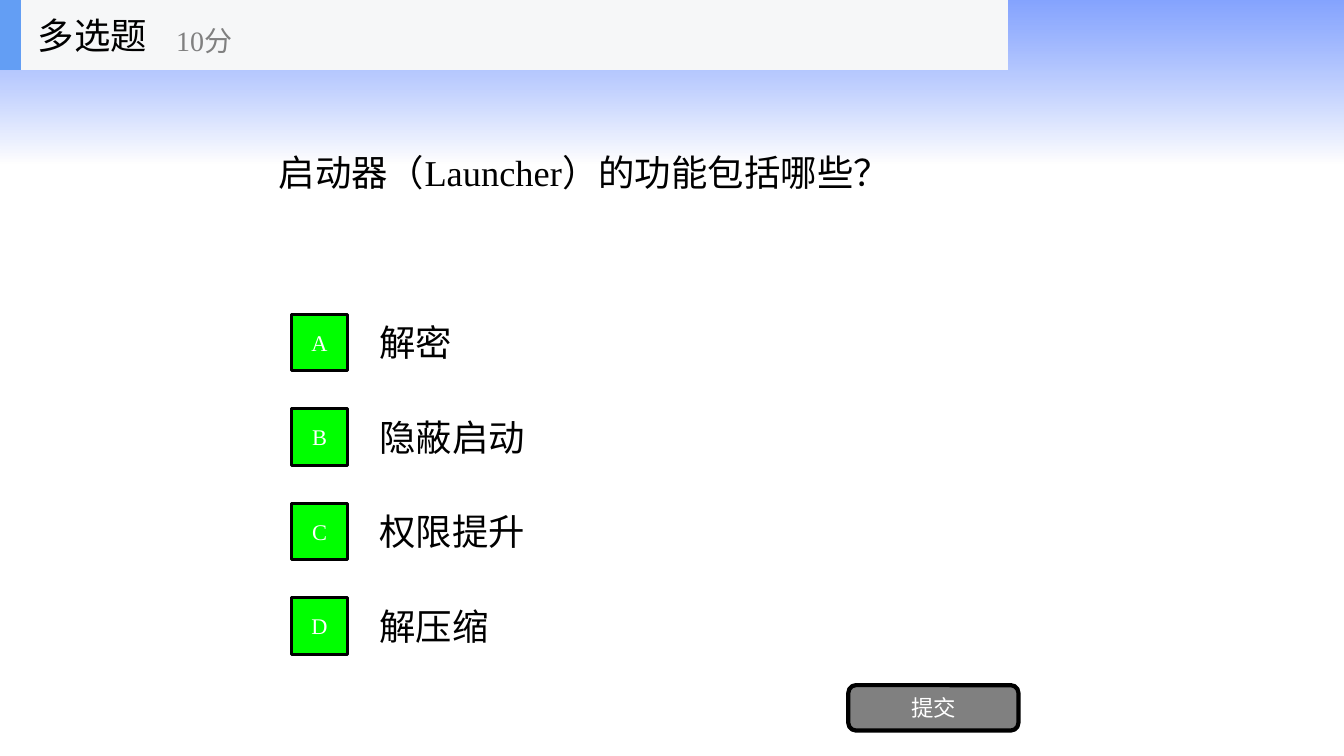
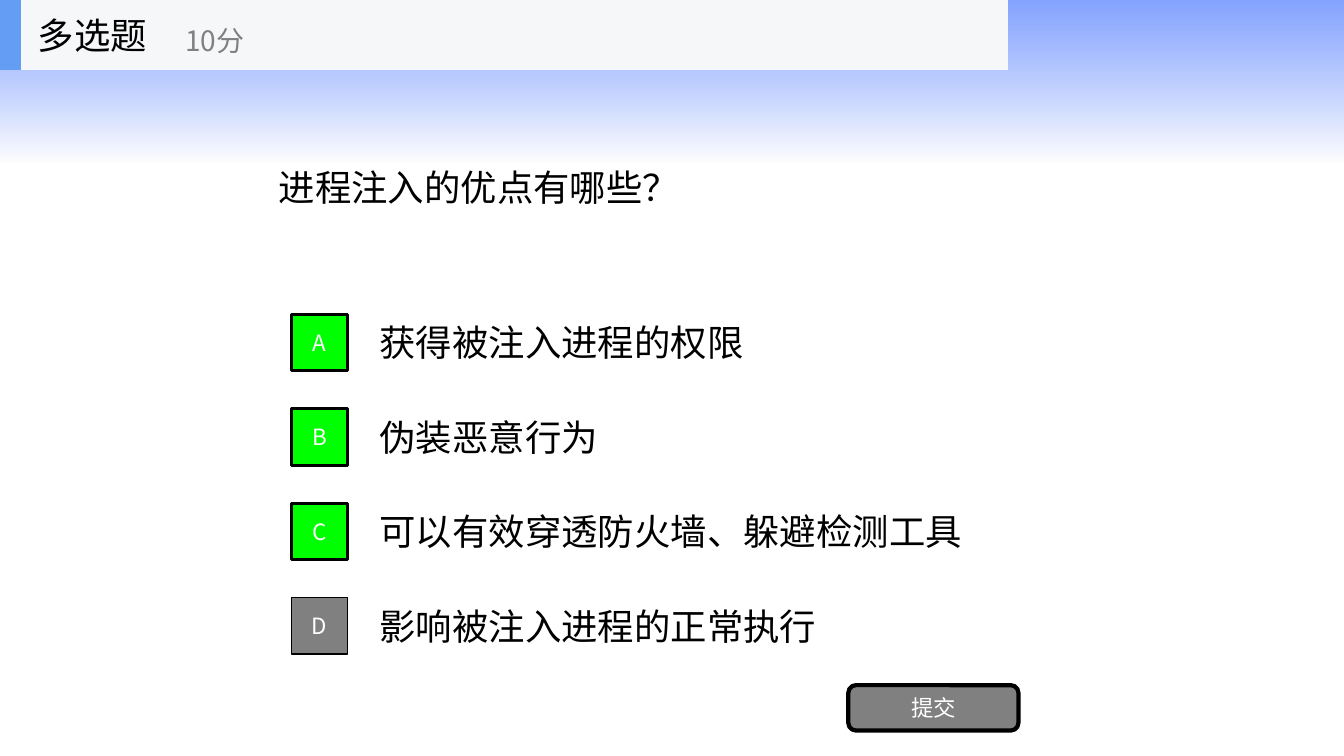
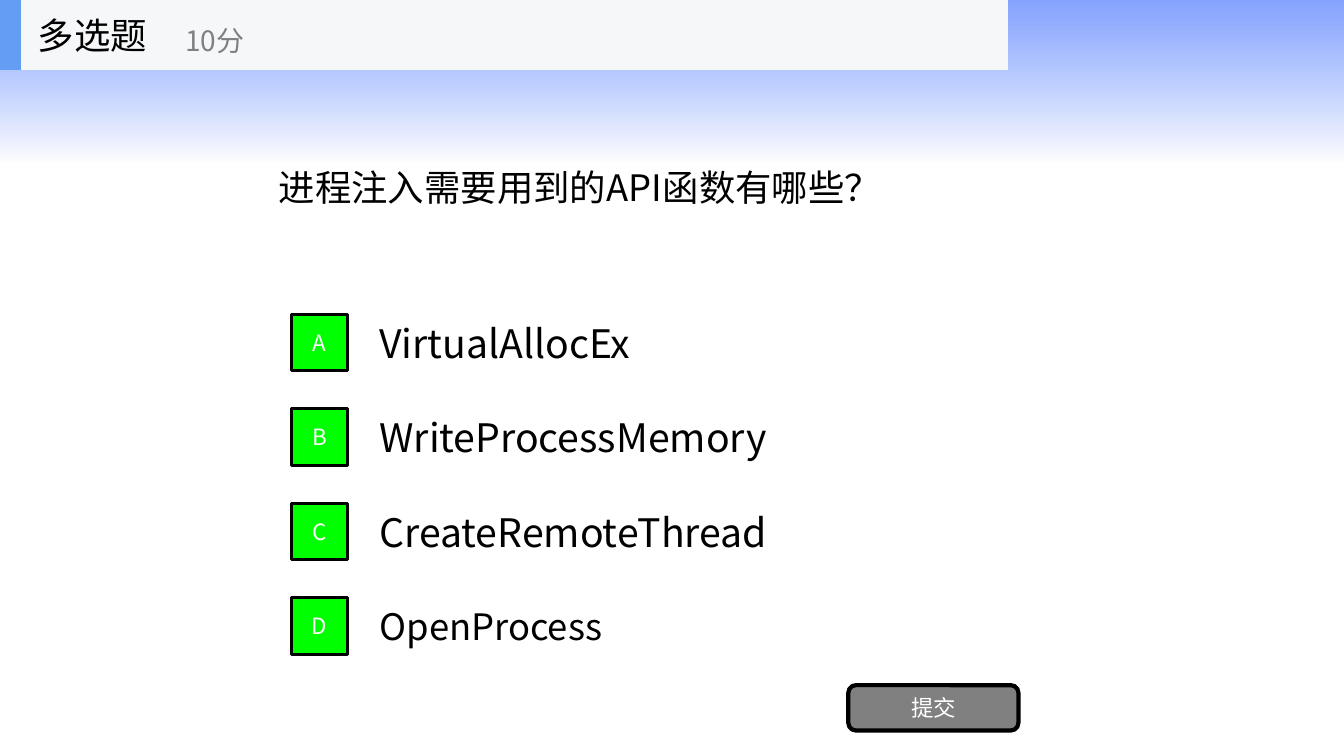
from dataclasses import dataclass

from lxml.etree import SubElement
from pptx import Presentation
from pptx.dml.color import RGBColor
from pptx.enum.lang import MSO_LANGUAGE_ID as Language
from pptx.enum.shapes import MSO_SHAPE as Preset
from pptx.enum.text import MSO_ANCHOR as Anchor, PP_ALIGN as Align
from pptx.oxml.ns import qn
from pptx.shapes.autoshape import Shape
from pptx.util import Pt

SLIDE_WIDTH, SLIDE_HEIGHT = 960, 540
BLACK, WHITE, GRAY = "000000", "FFFFFF", "808080"
CORRECT, BAR, ACCENT, BAND = "00FF00", "F6F7F8", "639EF4", "3366FF"
SERIF, SANS = "Times New Roman", "Noto Sans CJK SC"
BODY_SIZE, SCORE_SIZE, BUTTON_SIZE = 26, 20, 16
BAR_HEIGHT = 50
OPTION_TOP, OPTION_PITCH, OPTION_HEIGHT = 219.4, 67.5, 50.4
MARK_SIZE = 40.4


@dataclass(frozen=True)
class Box:
    left: float
    top: float
    width: float
    height: float

    def lengths(self) -> list[Pt]:
        return [Pt(value) for value in (self.left, self.top, self.width, self.height)]


@dataclass(frozen=True)
class Option:
    text: str
    correct: bool = True
    size: float = BODY_SIZE


@dataclass(frozen=True)
class Question:
    text: str
    box: Box
    options: tuple[Option, ...]
    font: str = SANS
    score_left: float = 125.3


TALL_BOX = Box(192, 49.5, 576, 168.5)
QUESTIONS = (
    Question(
        "启动器（Launcher）的功能包括哪些？",
        Box(192, 61.2, 576, 123.1),
        (Option("解密"), Option("隐蔽启动"), Option("权限提升"), Option("解压缩")),
        font=SERIF,
        score_left=118.8,
    ),
    Question(
        "进程注入的优点有哪些？",
        TALL_BOX,
        (
            Option("获得被注入进程的权限"),
            Option("伪装恶意行为"),
            Option("可以有效穿透防火墙、躲避检测工具"),
            Option("影响被注入进程的正常执行", correct=False),
        ),
    ),
    Question(
        "进程注入需要用到的API函数有哪些？",
        TALL_BOX,
        (
            Option("VirtualAllocEx", size=28),
            Option("WriteProcessMemory", size=28),
            Option("CreateRemoteThread", size=28),
            Option("OpenProcess"),
        ),
    ),
)


def rgb(color: str) -> RGBColor:
    return RGBColor.from_string(color)


def write(shape: Shape, text: str, *, font: str, size: float = BODY_SIZE,
          color: str = BLACK, align: Align = Align.LEFT) -> None:
    frame = shape.text_frame
    frame.word_wrap = True
    frame.vertical_anchor = Anchor.MIDDLE
    paragraph = frame.paragraphs[0]
    paragraph.alignment = align
    run = paragraph.add_run()
    run.text = text
    run.font.name = font
    run.font.size = Pt(size)
    run.font.color.rgb = rgb(color)
    run.font.language_id = Language.SIMPLIFIED_CHINESE
    SubElement(run.font._element, qn("a:ea"), typeface=SANS)


def add_label(shapes, box: Box, text: str, **text_format) -> None:
    write(shapes.add_textbox(*box.lengths()), text, **text_format)


def add_block(shapes, box: Box, fill: str, line_width: float = 0,
              preset: Preset = Preset.RECTANGLE) -> Shape:
    """Add a filled shape, with a black outline if line_width is above zero."""
    shape = shapes.add_shape(preset, *box.lengths())
    shape.shadow.inherit = False
    shape.fill.solid()
    shape.fill.fore_color.rgb = rgb(fill)
    if line_width:
        shape.line.color.rgb = rgb(BLACK)
        shape.line.width = Pt(line_width)
    else:
        shape.line.fill.background()
    return shape


def add_button(shapes, box: Box, text: str, font: str, fill: str, line_width: float,
               preset: Preset = Preset.RECTANGLE) -> None:
    shape = add_block(shapes, box, fill, line_width, preset)
    write(shape, text, font=font, size=BUTTON_SIZE, color=WHITE, align=Align.CENTER)


def add_band(slide) -> None:
    """Put the fading band on the slide's layout, so every slide shows it."""
    band = add_block(slide.shapes, Box(0, 0, SLIDE_WIDTH, 116.6), BAND)
    band.fill.gradient()
    band.fill.gradient_angle = 270
    for stop, color in zip(band.fill.gradient_stops, (BAND, WHITE)):
        stop.color.rgb = rgb(color)
    opacities = ("60000", "70000")
    for color_element, opacity in zip(band.element.iter(qn("a:srgbClr")), opacities):
        SubElement(color_element, qn("a:alpha"), val=opacity)
    slide.slide_layout.shapes.element.append(band.element)


def add_header(slide, question: Question) -> None:
    shapes = slide.shapes.add_group_shape().shapes
    add_block(shapes, Box(0, 0, 720, BAR_HEIGHT), BAR)
    add_block(shapes, Box(0, 0, 15, BAR_HEIGHT), ACCENT)
    add_label(shapes, Box(20, 0, 150, BAR_HEIGHT), "多选题", font=question.font)
    add_label(shapes, Box(question.score_left, 8.8, 180, 40), "10分",
              font=question.font, size=SCORE_SIZE, color=GRAY)


def add_question(slide, question: Question) -> None:
    shapes, font = slide.shapes, question.font
    add_label(shapes, question.box, question.text, font=font)
    for index, (letter, option) in enumerate(zip("ABCD", question.options)):
        top = OPTION_TOP + index * OPTION_PITCH
        mark_top = top + (OPTION_HEIGHT - MARK_SIZE) / 2
        add_label(shapes, Box(264, top, 504, OPTION_HEIGHT), option.text,
                  font=font, size=option.size)
        fill, line_width = (CORRECT, 2) if option.correct else (GRAY, 1)
        add_button(shapes, Box(208, mark_top, MARK_SIZE, MARK_SIZE), letter,
                   font, fill, line_width)
    add_button(shapes, Box(606, 489.4, 121.5, 32.4), "提交", font, GRAY, 3,
               Preset.ROUNDED_RECTANGLE)
    add_header(slide, question)


def main() -> None:
    presentation = Presentation()
    presentation.slide_width = Pt(SLIDE_WIDTH)
    presentation.slide_height = Pt(SLIDE_HEIGHT)
    blank = presentation.slide_layouts[6]
    slides = [presentation.slides.add_slide(blank) for _ in QUESTIONS]
    add_band(slides[0])
    for slide, question in zip(slides, QUESTIONS):
        add_question(slide, question)
    presentation.save("out.pptx")


if __name__ == "__main__":
    main()
